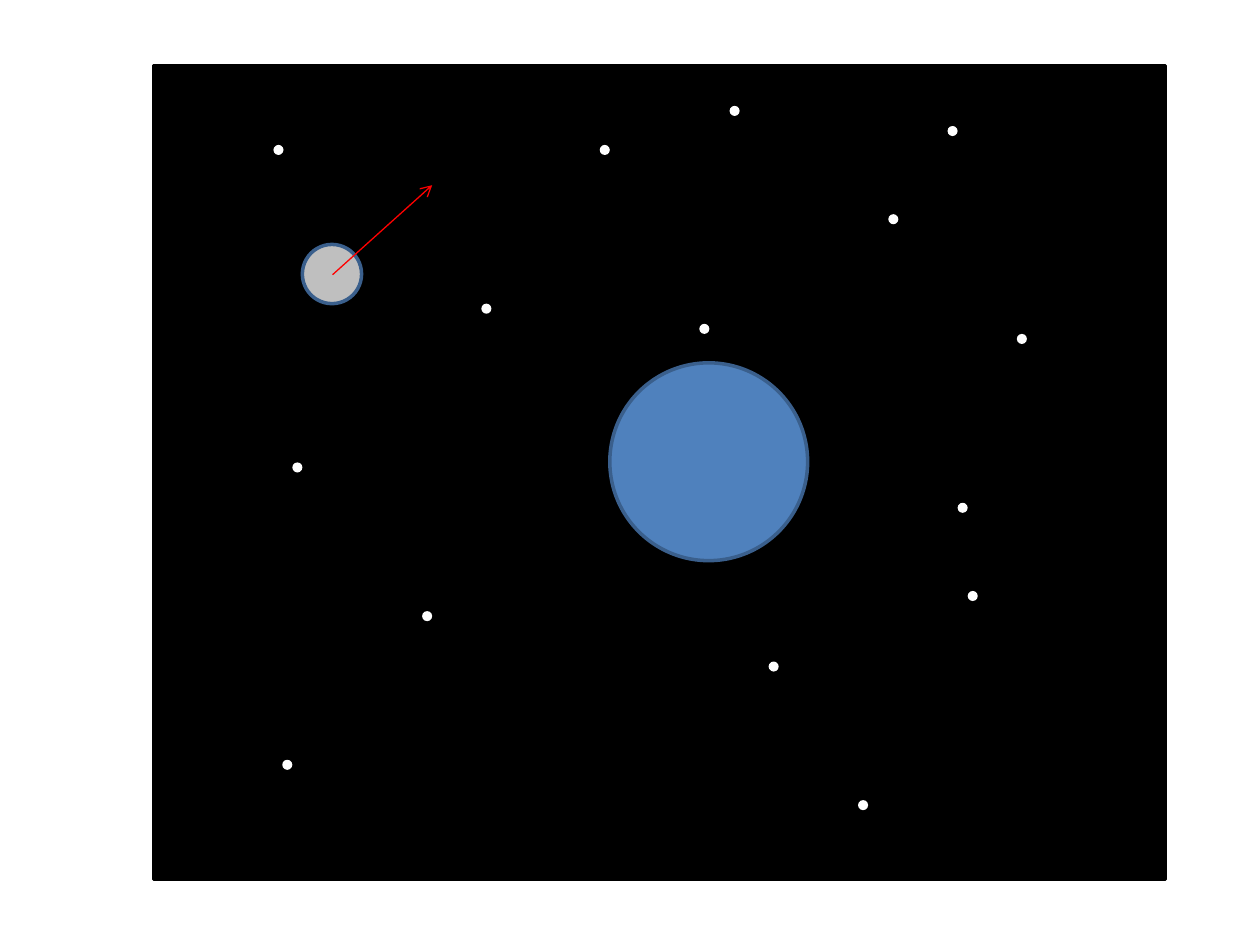
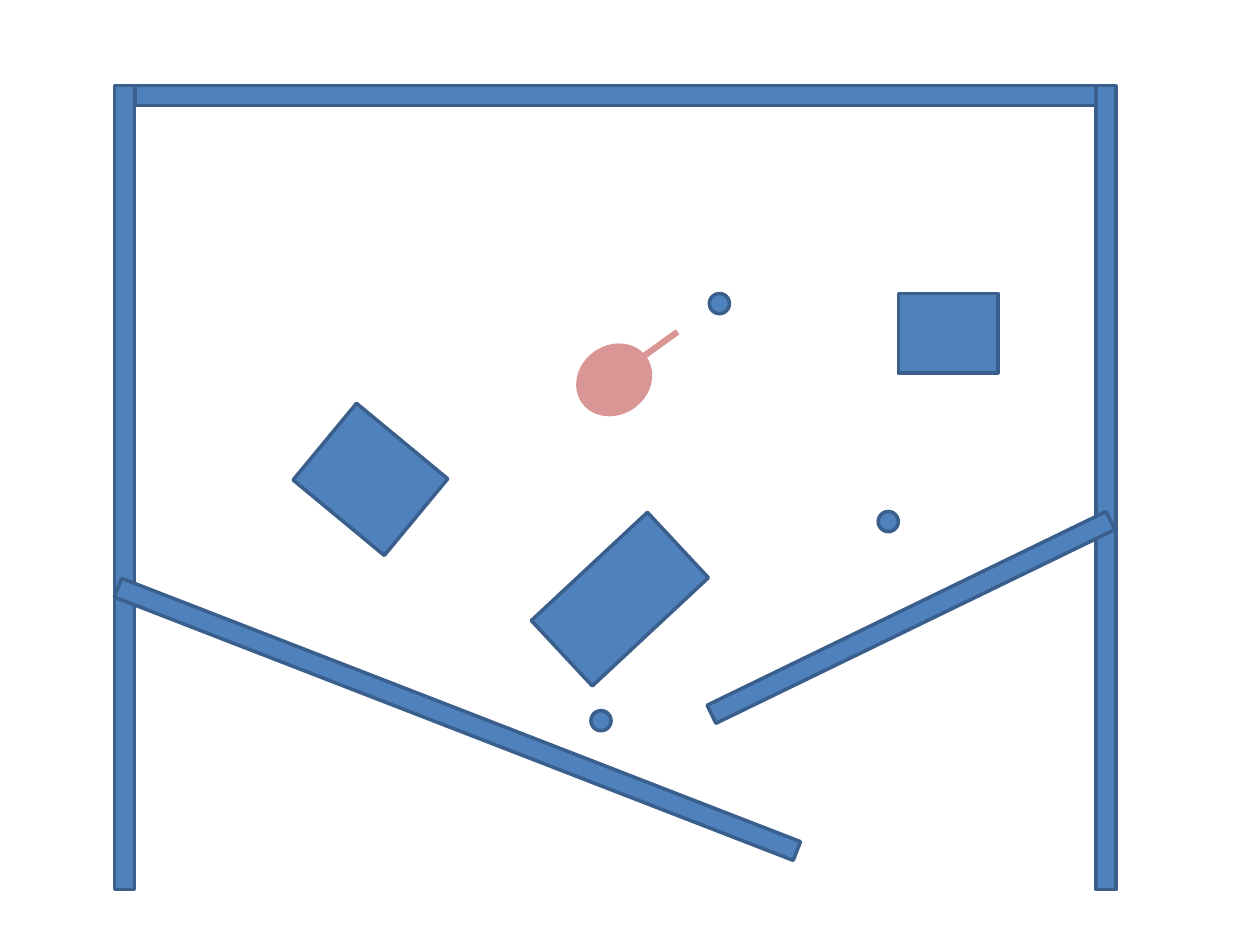
"""Builds two scenes: a moon passing a planet, and a walled arena with a robot."""
from lxml import etree
from pptx import Presentation
from pptx.dml.color import RGBColor
from pptx.enum.shapes import MSO_CONNECTOR, MSO_SHAPE
from pptx.oxml.ns import qn
from pptx.util import Inches, Pt

RECT = MSO_SHAPE.RECTANGLE
OVAL = MSO_SHAPE.OVAL
LINE = MSO_CONNECTOR.STRAIGHT

COLORS = {
    "space": "000000",
    "star": "FFFFFF",
    "blue": "4F81BD",
    "edge": "3A5F8C",
    "moon": "BFBFBF",
    "robot": "D99694",
    "arrow": "FF0000",
}

STAR = 0.08
STARS = [
    (5.79, 0.84), (7.52, 1), (4.76, 1.15), (8.07, 2.65), (3.82, 2.41),
    (7.6, 3.99), (2.32, 3.67), (6.1, 5.25), (7.05, 1.7), (3.35, 4.85),
    (7.68, 4.69), (5.55, 2.57), (2.17, 1.15), (6.81, 6.35), (2.24, 6.03),
]

WALL = 0.16
LEFT, RIGHT, TOP, HEIGHT = 0.91, 8.7, 0.68, 6.38
RAMPS = [(0.74, 5.63, 5.78, 21.2), (5.47, 4.82, 3.52, 154.1)]
BLOCKS = [
    (2.47, 3.41, 0.94, 0.79, 39.6),
    (7.13, 2.33, 0.79, 0.63, 0),
    (4.56 - 0.27, 4.4, 1.26, 0.71, 317),
]
BALLS = [(5.63, 2.33), (4.69, 5.64), (6.97, 4.06)]
AIM = 324.3


class Deck:
    """Holds the style and the current slide."""

    def __init__(self):
        self.prs = Presentation()
        self.prs.slide_width = Inches(10)
        self.prs.slide_height = Inches(7.5)
        self.slide = None

    def page(self):
        self.slide = self.prs.slides.add_slide(self.prs.slide_layouts[6])

    def color(self, name):
        return RGBColor.from_string(COLORS[name])

    def shape(self, kind, x, y, w, h, fill="blue", edge="edge", turn=0):
        item = self.slide.shapes.add_shape(
            kind, Inches(x), Inches(y), Inches(w), Inches(h))
        item.shadow.inherit = False
        item.rotation = turn
        item.fill.solid()
        item.fill.fore_color.rgb = self.color(fill)
        if edge:
            item.line.color.rgb = self.color(edge)
            item.line.width = Pt(2)
        else:
            item.line.fill.background()
        return item

    def disc(self, x, y, size, **style):
        return self.shape(OVAL, x, y, size, size, **style)

    def bar(self, x, y, w, h, **style):
        return self.shape(RECT, x, y, w, h, **style)

    def arrow(self, x1, y1, x2, y2):
        item = self.slide.shapes.add_connector(
            LINE, Inches(x1), Inches(y1), Inches(x2), Inches(y2))
        item.line.color.rgb = self.color("arrow")
        item.line.width = Pt(0.75)
        tip = etree.SubElement(item.line._get_or_add_ln(), qn("a:tailEnd"))
        tip.set("type", "arrow")
        etree.SubElement(item._element.spPr, qn("a:effectLst"))

    def group(self, *items):
        self.slide.shapes.add_group_shape(items)

    def save(self):
        self.prs.save("out.pptx")


def draw_space(deck):
    """Draws the planet, the moon with its heading, and the stars."""
    deck.page()
    deck.bar(1.22, 0.52, 8.03, 6.46, fill="space", edge="space")
    deck.disc(4.84, 2.88, 1.57)
    deck.disc(2.4, 1.94, 0.47, fill="moon")
    deck.arrow(2.64, 2.18, 3.43, 1.47)
    for x, y in STARS:
        deck.disc(x, y, STAR, fill="star", edge=None)


def draw_arena(deck):
    """Draws the walls, ramps, blocks, robot and balls."""
    deck.page()
    deck.bar(LEFT, TOP, WALL, HEIGHT)
    deck.bar(LEFT + WALL, TOP, RIGHT - LEFT - WALL, WALL)
    deck.bar(RIGHT, TOP, WALL, HEIGHT)
    for x, y, size, turn in RAMPS:
        deck.bar(x, y, size, WALL, turn=turn)
    for x, y, w, h, turn in BLOCKS:
        deck.bar(x, y, w, h, turn=turn)
    style = {"fill": "robot", "edge": None, "turn": AIM}
    body = deck.shape(OVAL, 4.56, 2.74, 0.63, 0.55, **style)
    nose = deck.bar(4.88, 2.77, 0.55, 0.05, **style)
    deck.group(body, nose)
    for x, y in BALLS:
        deck.disc(x, y, WALL)


def main():
    """Builds and saves the deck."""
    deck = Deck()
    draw_space(deck)
    draw_arena(deck)
    deck.save()


if __name__ == "__main__":
    main()
